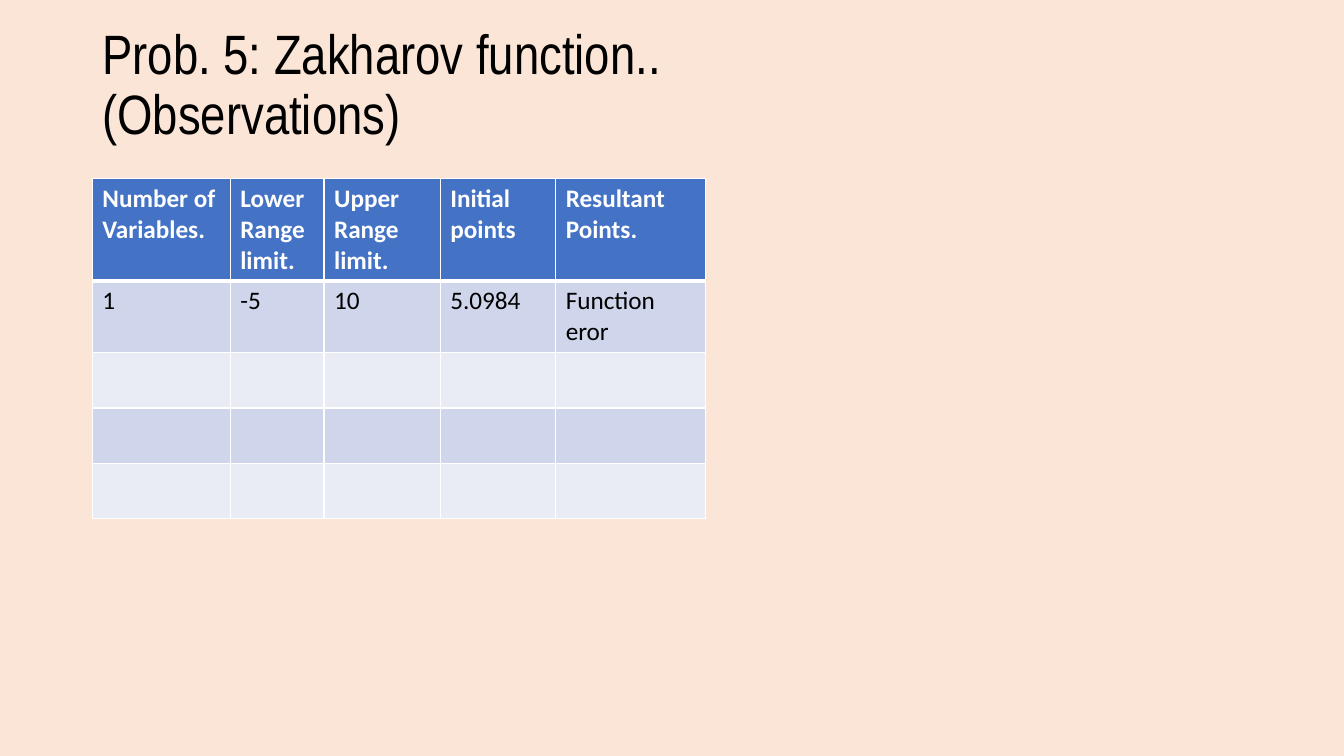
import copy
import dataclasses

import pptx
import pptx.dml.color
import pptx.enum.text
import pptx.oxml
import pptx.oxml.ns
import pptx.util

Pt = pptx.util.Pt
RGB = pptx.dml.color.RGBColor.from_string


@dataclasses.dataclass(frozen=True)
class Theme:
    """Colours, fonts and type sizes of the slide."""
    background: str = "FBE5D6"
    ink: str = "000000"
    white: str = "FFFFFF"
    header: str = "4472C4"
    bands: tuple = ("CFD5EA", "E9EBF5")
    title_font: str = "Arial Narrow"
    body_font: str = "Calibri"
    title_size: float = 39.6
    body_size: float = 18


THEME = Theme()
TITLE = "Prob. 5: Zakharov function..\n(Observations)"
COL_WIDTHS = (98.5, 67, 83, 82.5, 107)
ROW_HEIGHTS = (73, 51, 39.6, 39.6, 39.6)
ROWS = (
    ("Number of Variables.", "Lower Range limit.", "Upper Range limit.",
     "Initial points", "Resultant Points."),
    ("1", "-5", "10", "5.0984", "Function eror"),
)


def write(tf, text, font=THEME.body_font, size=THEME.body_size,
          color=THEME.ink, bold=False, spacing=1.0):
    """Write left-aligned text; a newline becomes a line break."""
    p = tf.paragraphs[0]
    p.alignment = pptx.enum.text.PP_ALIGN.LEFT
    p.line_spacing = spacing
    for i, line in enumerate(text.split("\n")):
        if i:
            p.add_line_break()
            p._p[-1].append(copy.deepcopy(r._r.rPr))
        r = p.add_run()
        r.text = line
        r.font.name, r.font.size, r.font.bold = font, Pt(size), bold
        r.font.color.rgb = RGB(color)


def set_border(cell, side, width):
    """Add a white line to one side (L, R, T or B) of a cell."""
    ns = pptx.oxml.ns.nsdecls("a")
    cell._tc.get_or_add_tcPr().append(pptx.oxml.parse_xml(
        f'<a:ln{side} {ns} w="{Pt(width)}"><a:solidFill>'
        f'<a:srgbClr val="{THEME.white}"/></a:solidFill></a:ln{side}>'))


def add_title(s, left, top, width, height):
    """Place and format the title placeholder."""
    sp = s.shapes.title
    sp.left, sp.top, sp.width, sp.height = map(Pt, (left, top, width, height))
    tf = sp.text_frame
    tf.word_wrap = True
    tf.auto_size = pptx.enum.text.MSO_AUTO_SIZE.NONE
    tf.vertical_anchor = pptx.enum.text.MSO_ANCHOR.MIDDLE
    write(tf, TITLE, font=THEME.title_font, size=THEME.title_size, spacing=0.9)


def add_observations(s, left, top):
    """Draw the banded observations table from its top left corner."""
    table = s.shapes.add_table(
        len(ROW_HEIGHTS), len(COL_WIDTHS), Pt(left), Pt(top),
        Pt(sum(COL_WIDTHS)), Pt(sum(ROW_HEIGHTS))).table
    for column, width in zip(table.columns, COL_WIDTHS):
        column.width = Pt(width)
    for i, height in enumerate(ROW_HEIGHTS):
        table.rows[i].height = Pt(height)
        for j, cell in enumerate(table.rows[i].cells):
            for side in "LRTB":
                heavy = (i, side) in ((0, "B"), (1, "T"))
                set_border(cell, side, 3 if heavy else 1)
            cell.fill.solid()
            cell.fill.fore_color.rgb = RGB(
                THEME.bands[(i - 1) % 2] if i else THEME.header)
            if i < len(ROWS):
                write(cell.text_frame, ROWS[i][j], bold=i == 0,
                      color=THEME.ink if i else THEME.white)


def build_slide(prs):
    """Add the observations slide."""
    s = prs.slides.add_slide(prs.slide_layouts.get_by_name("Title Only"))
    s.background.fill.solid()
    s.background.fill.fore_color.rgb = RGB(THEME.background)
    add_title(s, 66, 28.8, 828, 65.5)
    add_observations(s, 66, 127.5)


prs = pptx.Presentation()
prs.slide_width, prs.slide_height = Pt(960), Pt(540)
build_slide(prs)
prs.save("out.pptx")
